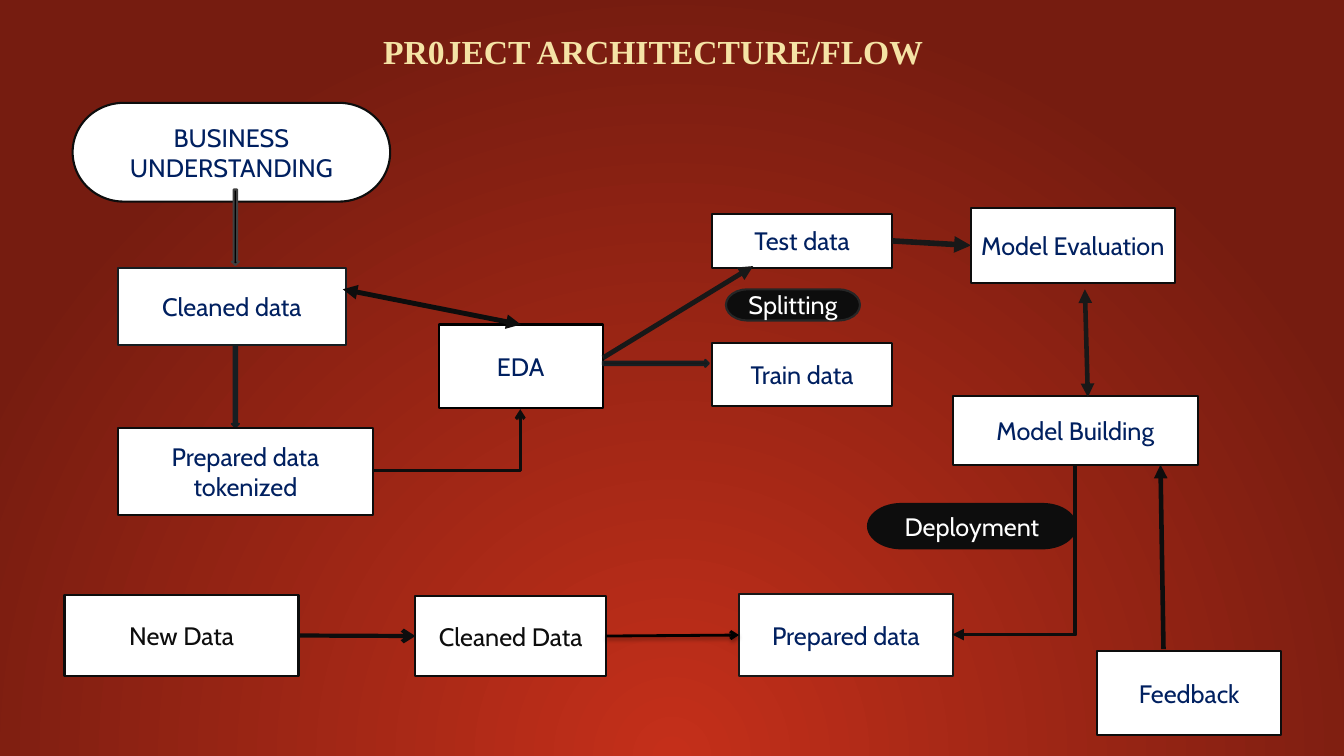
from dataclasses import dataclass

from lxml import etree
from pptx import Presentation
from pptx import util as u
from pptx.dml import color
from pptx.enum import shapes, text
from pptx.oxml import ns, parse_xml

RECTANGLE = shapes.MSO_SHAPE.RECTANGLE
PROCESS = shapes.MSO_SHAPE.FLOWCHART_PROCESS
PILL = shapes.MSO_SHAPE.FLOWCHART_TERMINATOR
TOP, LEFT, RIGHT = 0, 1, 3


@dataclass(frozen=True)
class Theme:
    glow: str = "C42F1A"
    edge: str = "761C10"
    title: str = "F5E3A5"
    navy: str = "002060"
    white: str = "FFFFFF"
    ink: str = "0D0D0D"
    slate: str = "161E22"
    coal: str = "181818"
    black: str = "000000"
    gray: str = "404040"
    pill_edge: str = "262626"
    title_font: str = "Times New Roman"
    label_font: str = "Cabin"
    title_size: int = 24
    label_size: int = 18
    outline: float = 1.5


THEME = Theme()


def rgb(value):
    return color.RGBColor.from_string(value)


def add_span(para, words, font, size, tint, bold=False):
    span = para.add_run()
    span.text = words
    span.font.name = font
    span.font.size = u.Pt(size)
    span.font.bold = bold
    span.font.color.rgb = rgb(tint)


class Region:
    def __init__(self, page, left, top):
        self.page, self.left, self.top = page, left, top

    def place(self, x, y):
        return u.Inches(self.left + x), u.Inches(self.top + y)

    def block(self, x, y, width, height, words="", kind=RECTANGLE,
              fill=THEME.white, line=THEME.ink, tint=THEME.navy):
        box = self.page.shapes.add_shape(
            kind, *self.place(x, y), u.Inches(width), u.Inches(height))
        box.shadow.inherit = False
        box.fill.solid()
        box.fill.fore_color.rgb = rgb(fill)
        box.line.color.rgb = rgb(line)
        box.line.width = u.Pt(THEME.outline)
        if words:
            box.text_frame.word_wrap = True
            box.text_frame.vertical_anchor = text.MSO_ANCHOR.MIDDLE
            para = box.text_frame.paragraphs[0]
            para.alignment = text.PP_ALIGN.CENTER
            add_span(para, words, THEME.label_font, THEME.label_size, tint)
        return box

    def link(self, start, end, width, tint=THEME.ink, head=None,
             tail="triangle", bent=False, turn=0):
        kind = shapes.MSO_CONNECTOR.ELBOW if bent else shapes.MSO_CONNECTOR.STRAIGHT
        arrow = self.page.shapes.add_connector(
            kind, *self.place(*start), *self.place(*end))
        arrow.line.color.rgb = rgb(tint)
        arrow.line.width = u.Pt(width)
        properties = arrow._element.spPr
        if bent:
            properties.find(ns.qn("a:prstGeom")).set("prst", "bentConnector2")
            properties.find(ns.qn("a:xfrm")).set("rot", str(turn * 60000))
        outline = properties.find(ns.qn("a:ln"))
        for tag, style in (("a:headEnd", head), ("a:tailEnd", tail)):
            if style:
                etree.SubElement(outline, ns.qn(tag), type=style)
        etree.SubElement(properties, ns.qn("a:effectLst"))
        return arrow


def add_background(page):
    background = parse_xml(
        f'<p:bg {ns.nsdecls("p", "a")}><p:bgPr><a:gradFill rotWithShape="1"><a:gsLst>'
        f'<a:gs pos="0"><a:srgbClr val="{THEME.glow}"/></a:gs>'
        f'<a:gs pos="100000"><a:srgbClr val="{THEME.edge}"/></a:gs></a:gsLst>'
        '<a:path path="circle"><a:fillToRect l="50000" t="130000" r="50000" b="-30000"/>'
        '</a:path></a:gradFill><a:effectLst/></p:bgPr></p:bg>')
    page._element.cSld.insert(0, background)


def add_title(page, left, top, width, height):
    title = page.shapes.title
    title.left, title.top = u.Inches(left), u.Inches(top)
    title.width, title.height = u.Inches(width), u.Inches(height)
    frame = title.text_frame
    frame.word_wrap = True
    frame.auto_size = text.MSO_AUTO_SIZE.NONE
    frame.vertical_anchor = text.MSO_ANCHOR.TOP
    para = frame.paragraphs[0]
    para.alignment = text.PP_ALIGN.LEFT
    add_span(para, "PR0JECT ARCHITECTURE/FLOW", THEME.title_font,
             THEME.title_size, THEME.title, bold=True)


def add_preparation(page, left, top):
    region = Region(page, left, top)
    down = shapes.MSO_SHAPE.DOWN_ARROW
    region.block(0, 0, 3.15, 0.98, "BUSINESS UNDERSTANDING", PILL)
    region.block(1.58, 0.86, 0.07, 0.75, kind=down, fill=THEME.black, line=THEME.gray)
    region.block(0.45, 1.64, 2.26, 0.76, "Cleaned data", line=THEME.slate)
    region.block(1.58, 2.41, 0.07, 0.81, kind=down, fill=THEME.slate, line=THEME.slate)
    region.block(0.45, 3.23, 2.53, 0.86, "Prepared data tokenized")
    analysis = region.block(3.63, 2.2, 1.63, 0.83, "EDA", line=THEME.black)
    exchange = region.link((2.68, 1.85), (4.45, 2.17), 3.5, head="triangle")
    exchange.end_connect(analysis, TOP)
    region.link((2.99, 3.65), (4.44, 3.04), 2.25, tail="arrow", bent=True)


def add_split(page, left, top):
    region = Region(page, left, top)
    region.block(0, 1.45, 1.05, 0.07, kind=shapes.MSO_SHAPE.RIGHT_ARROW,
                 fill=THEME.coal, line=THEME.slate)
    region.block(1.08, 1.28, 1.79, 0.63, "Train data")
    test_data = region.block(1.08, 0, 1.79, 0.54, "Test data")
    region.link((0, 1.43), (1.49, 0.52), 3.5, THEME.coal)
    region.block(1.22, 0.75, 1.33, 0.31, "Splitting", PILL,
                 THEME.ink, THEME.pill_edge, THEME.white)
    return test_data


def add_modelling(page, left, top, test_data):
    region = Region(page, left, top)
    evaluation = region.block(0.18, 0, 2.02, 0.75, "Model Evaluation")
    region.block(0, 1.87, 2.43, 0.68, "Model Building")
    region.block(1.43, 4.4, 1.83, 0.83, "Feedback")
    scoring = region.link((-0.6, 0.33), (0.18, 0.35), 4, THEME.coal)
    scoring.begin_connect(test_data, RIGHT)
    scoring.end_connect(evaluation, LEFT)
    region.link((1.31, 0.81), (1.34, 1.88), 3.25, THEME.coal, head="triangle")
    region.link((2.09, 4.38), (2.06, 2.55), 3.25)


def add_deployment(page, left, top):
    region = Region(page, left, top)
    new = region.block(0, 0.9, 2.32, 0.81, "New Data", PROCESS, tint=THEME.ink)
    cleaned = region.block(3.48, 0.91, 1.89, 0.8, "Cleaned Data", PROCESS, tint=THEME.ink)
    prepared = region.block(6.69, 0.89, 2.12, 0.82, "Prepared data", line=THEME.coal)
    steps = ((new, cleaned, 2.32, 3.48, 3, THEME.ink),
             (cleaned, prepared, 5.37, 6.69, 2, THEME.black))
    for source, target, start, end, width, tint in steps:
        arrow = region.link((start, 1.3), (end, 1.3), width, tint, tail="arrow")
        arrow.begin_connect(source, RIGHT)
        arrow.end_connect(target, LEFT)
    effects = arrow._element.spPr.find(ns.qn("a:effectLst"))
    effects.append(parse_xml(
        f'<a:outerShdw {ns.nsdecls("a")} blurRad="{u.Pt(3)}" dist="{u.Pt(2)}" '
        f'dir="5400000" rotWithShape="0"><a:srgbClr val="{THEME.black}">'
        '<a:alpha val="35000"/></a:srgbClr></a:outerShdw>'))
    region.link((8.57, -0.16), (10.26, 1.06), 2.75, bent=True, turn=90)
    region.block(7.97, 0, 2.06, 0.44, "Deployment", PILL, THEME.ink, tint=THEME.white)


def main():
    deck = Presentation()
    deck.slide_width, deck.slide_height = u.Inches(13.33), u.Inches(7.5)
    page = deck.slides.add_slide(deck.slide_layouts.get_by_name("Title Only"))
    add_background(page)
    add_title(page, 3.7, 0.26, 6.67, 0.5)
    add_preparation(page, 0.72, 1.02)
    test_data = add_split(page, 5.98, 2.12)
    add_modelling(page, 9.45, 2.06, test_data)
    add_deployment(page, 0.64, 5)
    deck.save("out.pptx")


if __name__ == "__main__":
    main()
